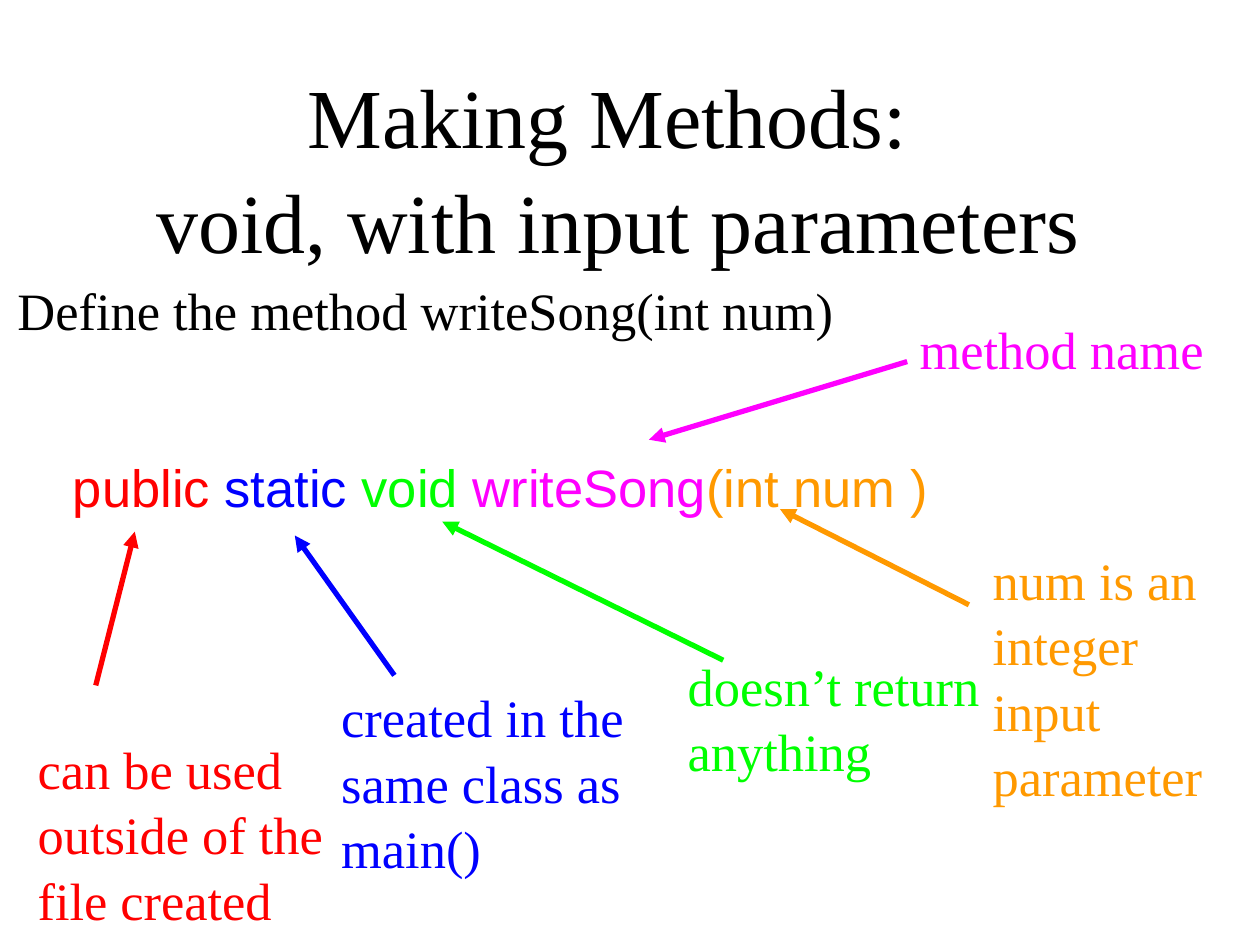
import pptx
import pptx.dml.color
import pptx.enum.shapes
import pptx.enum.text
import pptx.oxml
import pptx.oxml.ns
import pptx.util
from dataclasses import dataclass

Inches = pptx.util.Inches
Pt = pptx.util.Pt
Run = tuple[str, str]  # wording, colour
Point = tuple[float, float]


@dataclass(frozen=True)
class Theme:
    serif: str = "Times New Roman"
    sans: str = "Arial"
    title_size: int = 48
    body_size: int = 30
    arrow_width: int = 3
    line_spacing: float = 1.04
    black: str = "000000"
    red: str = "FF0000"
    blue: str = "0000FF"
    green: str = "00FF00"
    magenta: str = "FF00FF"
    orange: str = "FF9900"


THEME = Theme()


@dataclass(frozen=True)
class Callout:
    lines: tuple[str, ...]
    color: str
    left: float
    top: float
    tail: Point
    head: Point
    width: float = 3.4


def rgb(color: str) -> pptx.dml.color.RGBColor:
    return pptx.dml.color.RGBColor.from_string(color)


def add_text(slide, box: tuple[float, float, float, float],
             lines: list[list[Run]], font: str = THEME.serif,
             size: int = THEME.body_size, centered: bool = False,
             inset_top: float = 0.1) -> None:
    """Add a wrapped text box; each line is a paragraph of coloured runs."""
    frame = slide.shapes.add_textbox(*map(Inches, box)).text_frame
    frame.word_wrap = True
    frame.margin_left = frame.margin_right = Inches(0.1)
    frame.margin_top = Inches(inset_top)
    for index, runs in enumerate(lines):
        paragraph = frame.paragraphs[0] if index == 0 else frame.add_paragraph()
        paragraph.line_spacing = THEME.line_spacing
        if centered:
            paragraph.alignment = pptx.enum.text.PP_ALIGN.CENTER
        for wording, color in runs:
            run = paragraph.add_run()
            run.text = wording
            run.font.name = font
            run.font.size = Pt(size)
            run.font.color.rgb = rgb(color)


def add_arrow(slide, tail: Point, head: Point, color: str) -> None:
    arrow = slide.shapes.add_connector(
        pptx.enum.shapes.MSO_CONNECTOR.STRAIGHT,
        *map(Inches, (*tail, *head)))
    arrow.line.color.rgb = rgb(color)
    arrow.line.width = Pt(THEME.arrow_width)
    qn = pptx.oxml.ns.qn
    properties = arrow.line._get_or_add_ln()
    properties.append(properties.makeelement(qn("a:tailEnd"), {"type": "triangle"}))
    shape_properties = arrow._element.spPr
    shape_properties.append(shape_properties.makeelement(qn("a:effectLst"), {}))


def add_callout(slide, callout: Callout) -> None:
    add_arrow(slide, callout.tail, callout.head, callout.color)
    add_text(slide, (callout.left, callout.top, callout.width, 0.94),
             [[(line, callout.color)] for line in callout.lines])


SIGNATURE: list[Run] = [
    ("public ", THEME.red),
    ("static ", THEME.blue),
    ("void ", THEME.green),
    ("writeSong", THEME.magenta),
    ("(int num )", THEME.orange),
]

CALLOUTS = [
    Callout(("can be used outside of the", "file created"), THEME.red,
            0.2, 5.73, (0.76, 5.44), (1.07, 4.22)),
    Callout(("created in the same class as main()",), THEME.blue,
            2.61, 5.32, (3.13, 5.36), (2.34, 4.25)),
    Callout(("doesn’t return", "anything"), THEME.green,
            5.36, 5.07, (5.74, 5.24), (3.51, 4.14)),
    Callout(("method name",), THEME.magenta,
            7.2, 2.4, (7.2, 2.87), (5.15, 3.49)),
    Callout(("num is an integer input parameter",), THEME.orange,
            7.78, 4.23, (7.69, 4.8), (6.19, 4.04), width=2.23),
]

presentation = pptx.Presentation()
presentation.slide_width = Inches(10)
presentation.slide_height = Inches(7.5)
slide = presentation.slides.add_slide(presentation.slide_layouts[6])

# Title and task
add_text(slide, (0, 0.16, 9.81, 2.15),
         [[("Making Methods: ", THEME.black)],
          [("void, with input parameters", THEME.black)]],
         size=THEME.title_size, centered=True, inset_top=0.32)
add_text(slide, (0.04, 2.09, 9.13, 0.79),
         [[("Define the method writeSong(int num)", THEME.black)]])

# Method signature, with each part explained in its own colour
add_text(slide, (0.48, 3.49, 9.35, 0.94), [SIGNATURE], font=THEME.sans)
for callout in CALLOUTS:
    add_callout(slide, callout)

presentation.save("out.pptx")
